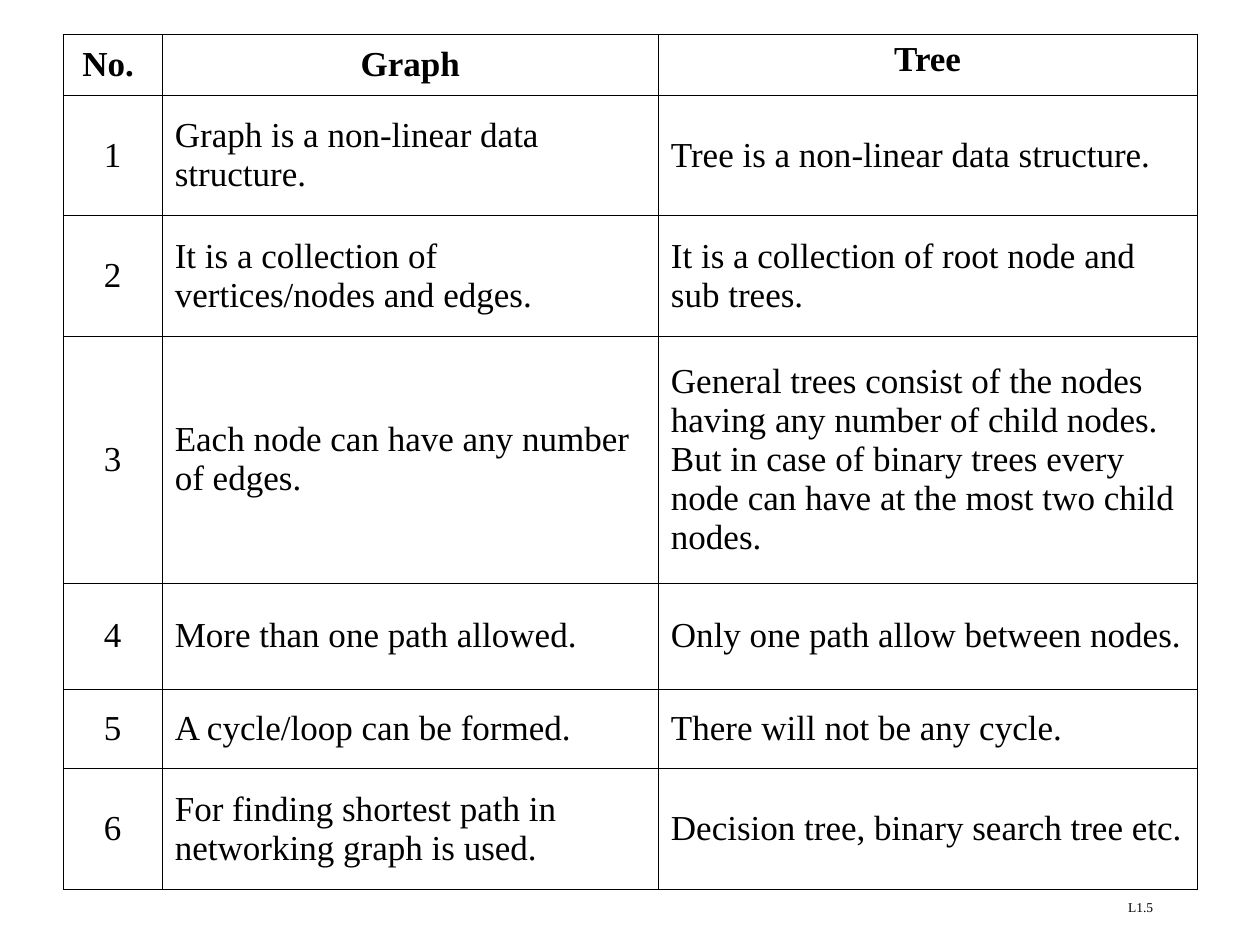
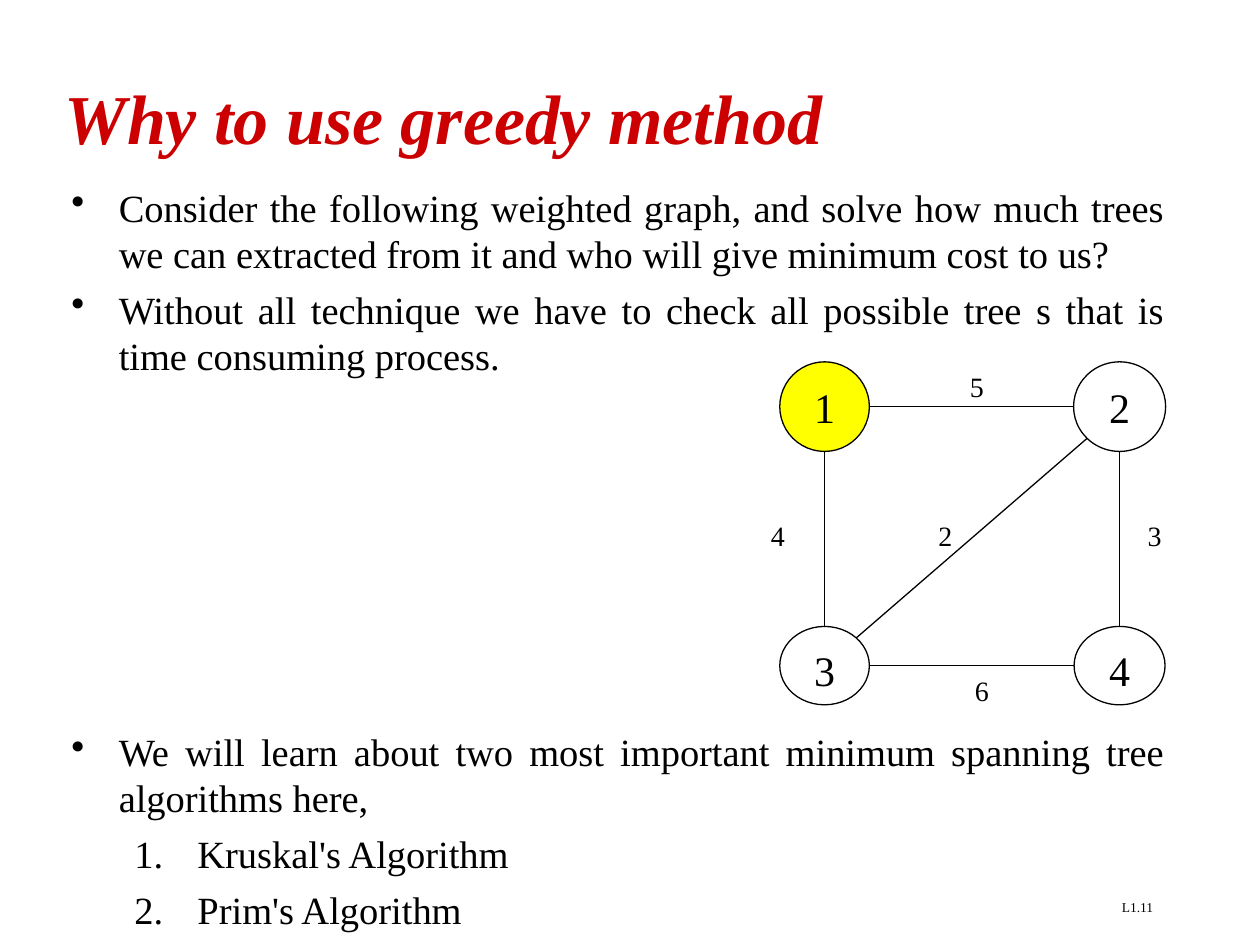
"""Build two slides: graphs against trees, and the greedy method."""
from typing import NamedTuple, Optional

from lxml import etree
from pptx import Presentation
from pptx.dml.color import RGBColor
from pptx.enum.shapes import MSO_CONNECTOR, MSO_SHAPE
from pptx.enum.text import MSO_ANCHOR, PP_ALIGN
from pptx.oxml.ns import qn
from pptx.slide import Slide
from pptx.table import _Cell
from pptx.text.text import TextFrame, _Paragraph
from pptx.util import Pt

LEFT, MID, RIGHT, JUST = PP_ALIGN.LEFT, PP_ALIGN.CENTER, PP_ALIGN.RIGHT, PP_ALIGN.JUSTIFY
TOP, MIDDLE = MSO_ANCHOR.TOP, MSO_ANCHOR.MIDDLE
OVAL, STRAIGHT = MSO_SHAPE.OVAL, MSO_CONNECTOR.STRAIGHT

FONT = "Times New Roman"
BLACK = RGBColor(0x00, 0x00, 0x00)
WHITE = RGBColor(0xFF, 0xFF, 0xFF)
RED = RGBColor(0xCC, 0x00, 0x00)
YELLOW = RGBColor(0xFF, 0xFF, 0x00)
DIAG = 0.5 ** 0.5


class Box(NamedTuple):
    """A place on the slide, in points."""
    left: float
    top: float
    width: float
    height: float


class Style(NamedTuple):
    """How a paragraph looks."""
    size: float
    align: PP_ALIGN = LEFT
    color: RGBColor = BLACK
    bold: bool = False
    slant: bool = False


class Item(NamedTuple):
    """A list entry with its mark and the space above it."""
    text: str
    above: float = 5.5
    count: bool = False


class Node(NamedTuple):
    """A graph node, placed by its centre."""
    x: float
    y: float
    width: float
    height: float
    fill: Optional[RGBColor] = None

    def spot(self, across: float, down: float) -> tuple[int, int]:
        """Return the rim point in a unit direction."""
        return Pt(self.x + across * self.width / 2), Pt(self.y + down * self.height / 2)


class Edge(NamedTuple):
    """A weighted edge and the corner of its label."""
    start: str
    end: str
    way: tuple[float, float]
    weight: str
    left: float
    top: float


FOOT = Style(7.7, RIGHT)
TITLE = Style(40, color=RED, bold=True, slant=True)
HEAD = Style(20, MID, bold=True)
INDEX = Style(20, MID)
CELL = Style(20)
BODY = Style(22, JUST)
NAME = Style(24, MID)
WEIGHT = Style(16)

TABLE = Box(36, 19.6, 648, 489)
COLS = (56.7, 283.5, 307.8)
HEIGHTS = (34.8, 68.8, 68.8, 141.2, 60.6, 45.4, 69.2)
ROWS = (
    ("No. ", "Graph", "Tree"),
    ("1", "Graph is a non-linear data structure.", "Tree is a non-linear data structure."),
    ("2", "It is a collection of vertices/nodes and edges.",
     "It is a collection of root node and sub trees."),
    ("3", "Each node can have any number of edges.",
     "General trees consist of the nodes having any number of child nodes. "
     "But in case of binary trees every node can have at the most two child nodes."),
    ("4", "More than one path allowed.", "Only one path allow between nodes."),
    ("5", "A cycle/loop can be formed.", "There will not be any cycle."),
    ("6", "For finding shortest path in networking graph is used.",
     "Decision tree, binary search tree etc."),
)
ITEMS = (
    Item("Consider the following weighted graph, and solve how much trees we can "
         "extracted from it and who will give minimum cost to us?", 0),
    Item("Without all technique we have to check all possible tree s that is "
         "time consuming process."),
    Item("We will learn about two most important minimum spanning tree algorithms here,", 200),
    Item("Kruskal's Algorithm", count=True),
    Item("Prim's Algorithm", count=True),
)
NODES = {
    "1": Node(471.2, 232.4, 51.2, 51.2, YELLOW),
    "2": Node(639.8, 232.4, 52.6, 51.2),
    "3": Node(471.2, 380.4, 51.2, 44.8),
    "4": Node(639.8, 380.4, 52, 44.8),
}
EDGES = (
    Edge("1", "3", (0, 1), "4", 433.4, 293),
    Edge("1", "2", (1, 0), "5", 547.2, 207.4),
    Edge("2", "4", (0, 1), "3", 648.7, 293),
    Edge("4", "3", (-1, 0), "6", 550, 381.6),
    Edge("2", "3", (-DIAG, DIAG), "2", 529.2, 293),
)


def dress(par: _Paragraph, style: Style) -> None:
    """Apply a style to a paragraph."""
    par.alignment = style.align
    font = par.font
    font.name, font.size = FONT, Pt(style.size)
    font.bold, font.italic = style.bold, style.slant
    font.color.rgb = style.color


def write(frame: TextFrame, text: str, style: Style) -> None:
    """Fill a frame with one paragraph."""
    frame.text = text
    dress(frame.paragraphs[0], style)


def add_box(slide: Slide, box: Box, anchor: MSO_ANCHOR = TOP) -> TextFrame:
    """Add a wrapping text box."""
    frame = slide.shapes.add_textbox(*map(Pt, box)).text_frame
    frame.word_wrap = True
    frame.vertical_anchor = anchor
    return frame


def add_page(deck: Presentation, label: str) -> Slide:
    """Add a white slide with its footer."""
    slide = deck.slides.add_slide(deck.slide_layouts[6])
    slide.background.fill.solid()
    slide.background.fill.fore_color.rgb = WHITE
    write(add_box(slide, Box(516.2, 510, 149.8, 18)), label, FOOT)
    return slide


def rule(cell: _Cell) -> None:
    """Clear a cell's fill and draw its borders."""
    cell.fill.background()
    props = cell._tc.get_or_add_tcPr()
    for spot, side in enumerate(("a:lnL", "a:lnR", "a:lnT", "a:lnB")):
        line = etree.Element(qn(side), w=str(Pt(0.45)))
        fill = etree.SubElement(line, qn("a:solidFill"))
        etree.SubElement(fill, qn("a:srgbClr"), val=str(BLACK))
        props.insert(spot, line)


def add_grid(slide: Slide) -> None:
    """Add the table of graphs and trees."""
    table = slide.shapes.add_table(len(ROWS), len(COLS), *map(Pt, TABLE)).table
    table.first_row = table.horz_banding = False
    for col, width in zip(table.columns, COLS):
        col.width = Pt(width)
    for row, height in zip(table.rows, HEIGHTS):
        row.height = Pt(height)
    for down, texts in enumerate(ROWS):
        for across, text in enumerate(texts):
            cell = table.cell(down, across)
            style = HEAD if down == 0 else INDEX if across == 0 else CELL
            write(cell.text_frame, text, style)
            cell.vertical_anchor = TOP if text == "Tree" else MIDDLE
            rule(cell)


def add_list(slide: Slide, box: Box) -> None:
    """Add the bulleted and numbered list."""
    frame = add_box(slide, box)
    for rank, item in enumerate(ITEMS):
        par = frame.add_paragraph() if rank else frame.paragraphs[0]
        par.text = item.text
        par.space_before = Pt(item.above)
        props = par._p.get_or_add_pPr()
        indent, hang = (72, 36) if item.count else (27, 27)
        props.set("marL", str(Pt(indent)))
        props.set("indent", str(-Pt(hang)))
        if item.count:
            par.level = 1
            etree.SubElement(props, qn("a:buAutoNum"), type="arabicPeriod")
        else:
            etree.SubElement(props, qn("a:buChar"), char="•")
        dress(par, BODY)


def add_node(slide: Slide, name: str, node: Node) -> None:
    """Add one named node."""
    box = Box(node.x - node.width / 2, node.y - node.height / 2, node.width, node.height)
    oval = slide.shapes.add_shape(OVAL, *map(Pt, box))
    oval.shadow.inherit = False
    if node.fill is None:
        oval.fill.background()
    else:
        oval.fill.solid()
        oval.fill.fore_color.rgb = node.fill
    oval.line.color.rgb, oval.line.width = BLACK, Pt(0.75)
    oval.text_frame.vertical_anchor = TOP
    write(oval.text_frame, name, NAME)


def add_edge(slide: Slide, edge: Edge) -> None:
    """Add one edge and its weight."""
    across, down = edge.way
    start = NODES[edge.start].spot(across, down)
    end = NODES[edge.end].spot(-across, -down)
    line = slide.shapes.add_connector(STRAIGHT, *start, *end)
    line.line.color.rgb, line.line.width = BLACK, Pt(0.75)
    etree.SubElement(line._element.spPr, qn("a:effectLst"))
    write(add_box(slide, Box(edge.left, edge.top, 24.5, 26.6)), edge.weight, WEIGHT)


def main() -> None:
    """Build and save the deck."""
    deck = Presentation()
    deck.slide_width, deck.slide_height = Pt(720), Pt(540)
    add_grid(add_page(deck, "L1.5"))
    slide = add_page(deck, "L1.11")
    write(add_box(slide, Box(30, 30, 672, 73), MIDDLE), "Why to use greedy method", TITLE)
    add_list(slide, Box(33.8, 101.5, 638.6, 435))
    for name, node in NODES.items():
        add_node(slide, name, node)
    for edge in EDGES:
        add_edge(slide, edge)
    deck.save("out.pptx")


if __name__ == "__main__":
    main()
